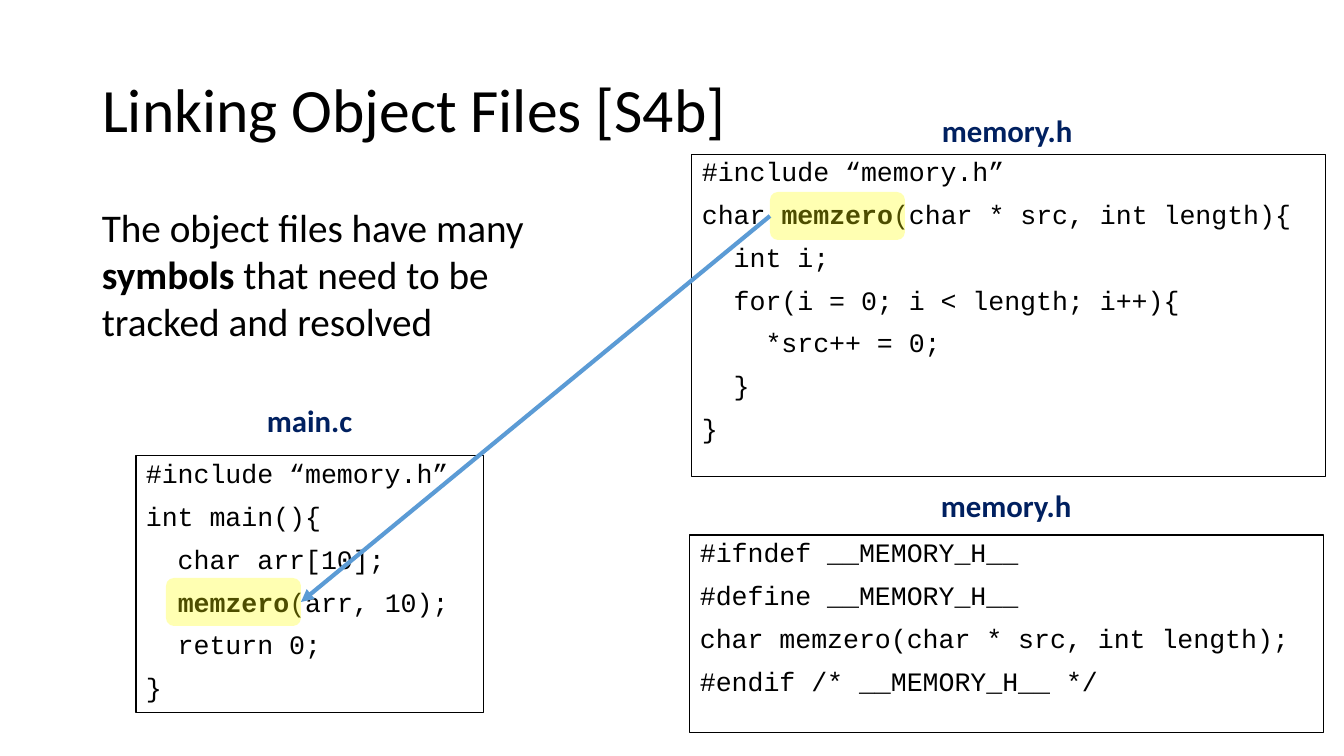
from lxml import etree
from pptx import Presentation
from pptx.dml.color import RGBColor
from pptx.enum.shapes import MSO_CONNECTOR, MSO_SHAPE
from pptx.enum.text import MSO_ANCHOR, PP_ALIGN
from pptx.oxml.ns import qn
from pptx.util import Emu, Pt

RECTANGLE, ROUNDED = MSO_SHAPE.RECTANGLE, MSO_SHAPE.ROUNDED_RECTANGLE
STRAIGHT = MSO_CONNECTOR.STRAIGHT
TOP, MIDDLE = MSO_ANCHOR.TOP, MSO_ANCHOR.MIDDLE
LEFT = PP_ALIGN.LEFT

SLIDE_SIZE = (1344, 756)
EMU_PER_PX = 12192000 / 1344
BLACK, NAVY, YELLOW, BLUE = "000000", "002060", "FFFF00", "5B9BD5"

TITLE = "Linking Object Files [S4b]"
TITLE_AREA = (92, 40, 1159, 146)
# Within a line, every second part of the tuple is bold.
BODY = [("The object files have many ", "symbols ",
         "that need to be tracked and resolved")]
BODY_AREA = (92, 198, 526, 152)

CODE_PANELS = [
    ((690, 535, 634, 198), [
        ("#ifndef __MEMORY_H__",),
        ("#define __MEMORY_H__",),
        ("char memzero(char * src, int length);",),
        ("#endif /* __MEMORY_H__ */",),
    ]),
    ((692, 154, 634, 323), [
        ("#include “memory.h”",),
        ("char ", "memzero", "(char * src, int length){"),
        ("  int i;",),
        ("  for(i = 0; i < length; i++){",),
        ("    *src++ = 0;",),
        ("  }",),
        ("}",),
    ]),
    ((136, 456, 348, 257), [
        ("#include “memory.h”",),
        ("int main(){",),
        ("  char arr[10];",),
        ("  ", "memzero", "(arr, 10);"),
        ("  return 0;",),
        ("}",),
    ]),
]
FILE_LABELS = [
    ("main.c", (257, 397, 107, 47)),
    ("memory.h", (931, 482, 152, 47)),
    ("memory.h", (932, 107, 152, 47)),
]
CALL_MARK = (166, 578, 135, 48)
DEFINITION_MARK = (770, 192, 135, 48)

TITLE_FONT = {"name": "Calibri", "size": Pt(44), "bold": False}
BODY_FONT = {"name": "Calibri", "size": Pt(28), "bold": False}
CODE_FONT = {"name": "Courier New", "size": Pt(19), "bold": False}
LABEL_FONT = {"name": "Calibri", "size": Pt(22), "bold": True}


def px(length):
    return Emu(round(length * EMU_PER_PX))


def place(area):
    return [px(length) for length in area]


def color(hex_text):
    return RGBColor.from_string(hex_text)


def write(box, lines, font, hex_text=BLACK, anchor=TOP, wrap=True,
          line_spacing=1.0, gap=0):
    """Fill a shape with lines of alternating plain and bold parts."""
    frame = box.text_frame
    frame.word_wrap = wrap
    frame.vertical_anchor = anchor
    for row, parts in enumerate(lines):
        para = frame.add_paragraph() if row else frame.paragraphs[0]
        layout = {"alignment": LEFT, "line_spacing": line_spacing,
                  "space_before": Pt(gap if row else 0)}
        for name, value in layout.items():
            setattr(para, name, value)
        for index, part in enumerate(parts):
            span = para.add_run()
            span.text = part
            for name, value in font.items():
                setattr(span.font, name, value)
            if index % 2:
                span.font.bold = True
            span.font.color.rgb = color(hex_text)


def add_code_panel(page, area, lines):
    panel = page.shapes.add_shape(RECTANGLE, *place(area))
    panel.shadow.inherit = False
    panel.fill.background()
    panel.line.color.rgb = color(BLACK)
    panel.line.width = Pt(0.75)
    write(panel, lines, CODE_FONT, line_spacing=0.9, gap=10)


def add_highlight(page, area):
    mark = page.shapes.add_shape(ROUNDED, *place(area))
    mark.shadow.inherit = False
    mark.fill.solid()
    mark.fill.fore_color.rgb = color(YELLOW)
    mark.line.fill.background()
    fill_color = mark.fill._xPr.find(".//" + qn("a:srgbClr"))
    etree.SubElement(fill_color, qn("a:alpha"), val="30000")


def add_arrow(page, start, end):
    arrow = page.shapes.add_connector(STRAIGHT, *place(start + end))
    arrow.line.color.rgb = color(BLUE)
    arrow.line.width = Pt(3)
    etree.SubElement(arrow.line._get_or_add_ln(), qn("a:tailEnd"),
                     type="triangle")
    etree.SubElement(arrow._element.spPr, qn("a:effectLst"))


def main():
    deck = Presentation()
    deck.slide_width, deck.slide_height = place(SLIDE_SIZE)
    page = deck.slides.add_slide(deck.slide_layouts[5])

    title = page.shapes.title
    title.left, title.top, title.width, title.height = place(TITLE_AREA)
    write(title, [(TITLE,)], TITLE_FONT, anchor=MIDDLE, line_spacing=0.9)

    for area, lines in CODE_PANELS:
        add_code_panel(page, area, lines)
    for name, area in FILE_LABELS:
        label = page.shapes.add_textbox(*place(area))
        write(label, [(name,)], LABEL_FONT, NAVY, wrap=False)
    write(page.shapes.add_textbox(*place(BODY_AREA)), BODY, BODY_FONT)

    for area in (CALL_MARK, DEFINITION_MARK):
        add_highlight(page, area)
    call_left, call_top, call_width, call_height = CALL_MARK
    mark_left, mark_top, _, mark_height = DEFINITION_MARK
    add_arrow(page, (mark_left, mark_top + mark_height // 2),
              (call_left + call_width, call_top + call_height // 2))

    deck.save("out.pptx")


if __name__ == "__main__":
    main()
